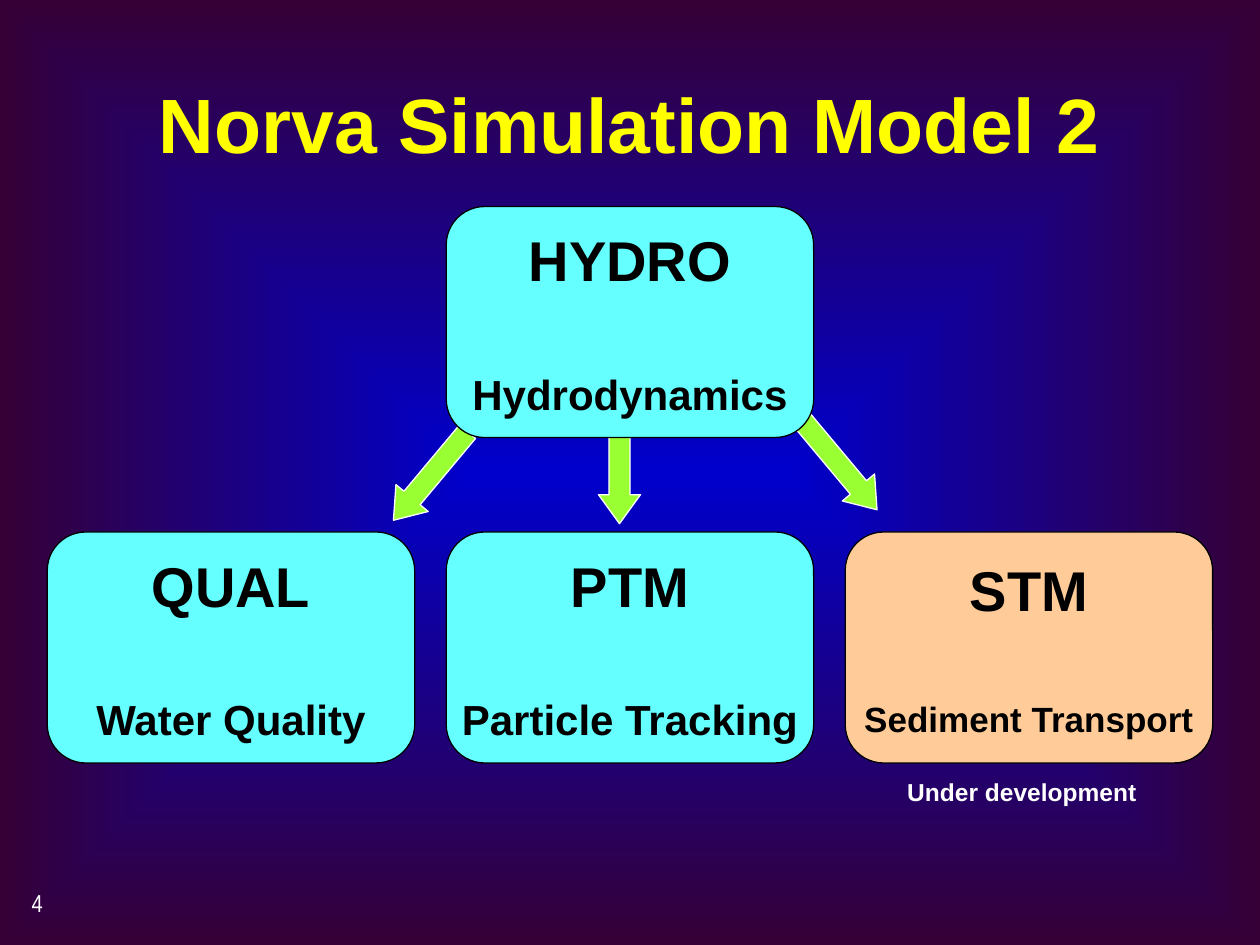
import pptx
import pptx.util
import pptx.dml.color
import pptx.enum.shapes
import pptx.enum.text
import pptx.oxml
import pptx.oxml.ns

Pt = pptx.util.Pt
Shape = pptx.enum.shapes.MSO_SHAPE
Align = pptx.enum.text.PP_ALIGN
Anchor = pptx.enum.text.MSO_ANCHOR
Fit = pptx.enum.text.MSO_AUTO_SIZE

AQUA, PEACH, LIME = "66FFFF", "FFCC99", "99FF33"
BLACK, WHITE, YELLOW = "000000", "FFFFFF", "FFFF00"


def color(code):
    return pptx.dml.color.RGBColor.from_string(code)


def write(para, text, size=24, font="Arial", ink=BLACK, bold=True,
          align=Align.CENTER, before=0):
    para.alignment = align
    para.space_before = Pt(before)
    run = para.add_run()
    run.text = text
    run.font.size = Pt(size)
    run.font.name = font
    run.font.bold = bold
    run.font.color.rgb = color(ink)


def paint(slide):
    fill = slide.background.fill
    fill.gradient()
    for stop, spot, code in zip(fill.gradient_stops, (0, 1), ("0000CC", "360036")):
        stop.position = spot
        stop.color.rgb = color(code)
    # Spread the gradient from the centre to the edges
    grad = slide.element.find(".//" + pptx.oxml.ns.qn("a:gradFill"))
    path = pptx.oxml.parse_xml(
        f'<a:path {pptx.oxml.ns.nsdecls("a")} path="rect">'
        '<a:fillToRect l="50000" t="50000" r="50000" b="50000"/></a:path>')
    grad.replace(grad.find(pptx.oxml.ns.qn("a:lin")), path)


def head(slide, text, left, top, width, height):
    title = slide.shapes.title
    title.left, title.top = Pt(left), Pt(top)
    title.width, title.height = Pt(width), Pt(height)
    frame = title.text_frame
    frame.auto_size = Fit.NONE
    frame.vertical_anchor = Anchor.MIDDLE
    write(frame.paragraphs[0], text, size=44, ink=YELLOW)


def solid(slide, kind, box, fill, line):
    shape = slide.shapes.add_shape(kind, *map(Pt, box))
    shape.shadow.inherit = False
    shape.fill.solid()
    shape.fill.fore_color.rgb = color(fill)
    shape.line.color.rgb = color(line)
    shape.line.width = Pt(0.75)
    return shape


def module(slide, box, name, role, size=24, fill=AQUA):
    card = solid(slide, Shape.ROUNDED_RECTANGLE, box, fill, BLACK)
    frame = card.text_frame
    frame.word_wrap = False
    frame.vertical_anchor = Anchor.MIDDLE
    write(frame.paragraphs[0], name, size=32)
    write(frame.add_paragraph(), role, size=size, before=43)


def arrow(slide, left, top, turn):
    shape = solid(slide, Shape.DOWN_ARROW, (left, top, 24, 66), LIME, WHITE)
    shape.adjustments[1] = 0.69
    shape.rotation = turn


def label(slide, text, box, **form):
    note = slide.shapes.add_textbox(*map(Pt, box))
    note.text_frame.word_wrap = True
    write(note.text_frame.paragraphs[0], text, size=14, ink=WHITE, **form)


def chart(slide, left, top):
    wide, high, step, drop = 210, 132, 228, 186
    # Arrows go first so that the top module covers their tails
    for x, y, turn in ((207, 121, 39.9), (315, 115.3, 0), (441, 115, -39.9)):
        arrow(slide, left + x, top + y, turn)
    # Top module
    module(slide, (left + step, top, wide, high), "HYDRO", "Hydrodynamics")
    # Row of modules that it feeds
    row = (("QUAL", "Water Quality", 24, AQUA),
           ("PTM", "Particle Tracking", 24, AQUA),
           ("STM", "Sediment Transport", 20, PEACH))
    for i, (name, role, size, fill) in enumerate(row):
        box = (left + i * step, top + drop, wide, high)
        module(slide, box, name, role, size, fill)
    # Status under the last module
    label(slide, "Under development", (left + 482, top + 322.4, 150, 24))


def main():
    deck = pptx.Presentation()
    deck.slide_width, deck.slide_height = Pt(720), Pt(540)
    slide = deck.slides.add_slide(deck.slide_layouts[5])
    paint(slide)
    head(slide, "Norva Simulation Model 2", 54, 25.4, 612, 90)
    chart(slide, 27, 118)
    # Page number
    label(slide, "4", (11, 504, 150, 36), font="Arial Narrow", bold=False,
          align=Align.LEFT)
    deck.save("out.pptx")


if __name__ == "__main__":
    main()
